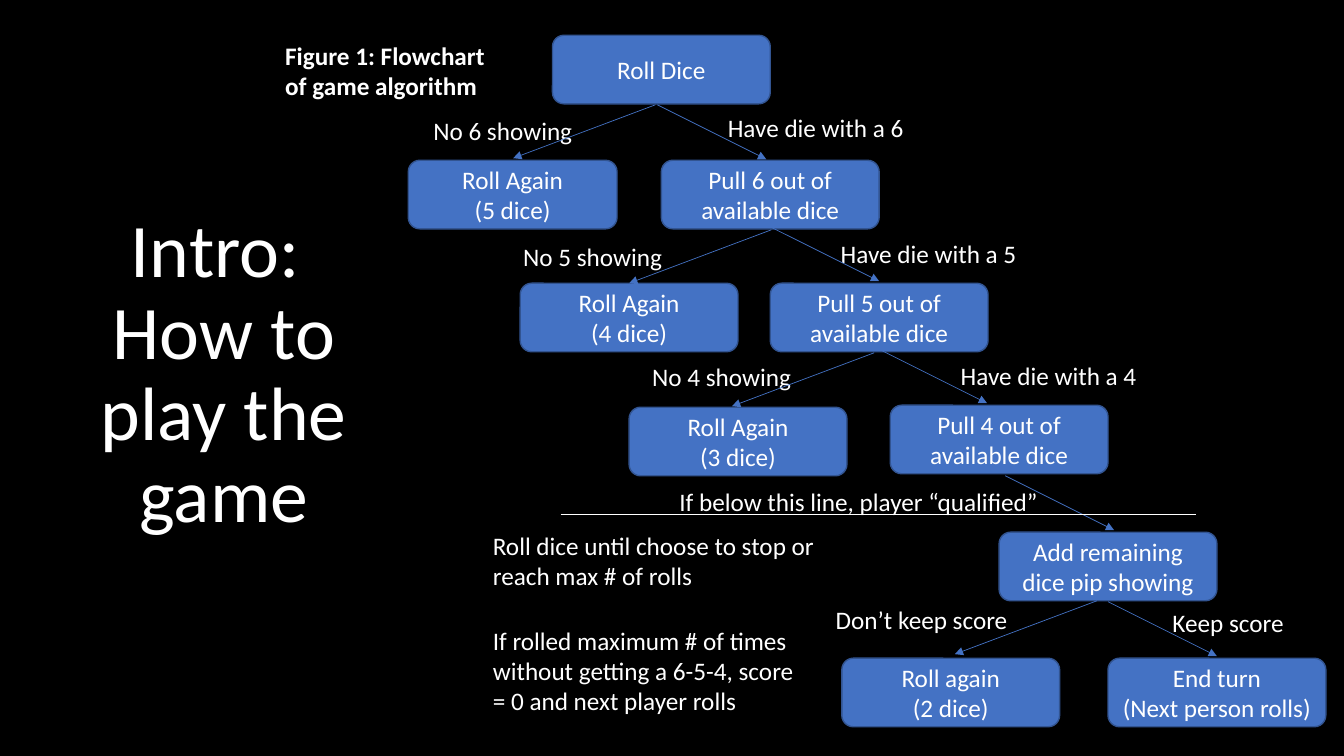
import pptx
import pptx.util
import pptx.dml.color
import pptx.enum.shapes
import pptx.enum.text
import pptx.oxml
import pptx.oxml.ns

COLORS = {"background": "000000", "box": "4472C4", "outline": "325491", "text": "FFFFFF"}
EMU_PER_PX = 9144
BOX_WIDTH, BOX_HEIGHT = 216, 68


def px(length):
    return pptx.util.Emu(length * EMU_PER_PX)


def color(name):
    return pptx.dml.color.RGBColor.from_string(COLORS[name])


class Flowchart:
    font = "Calibri"
    size = 18

    def __init__(self, deck):
        self.slide = deck.slides.add_slide(deck.slide_layouts[6])
        fill = self.slide.background.fill
        fill.solid()
        fill.fore_color.rgb = color("background")

    def set_text(self, frame, text, size, align, bold=False, spacing=None):
        frame.word_wrap = True
        frame.text = text
        for paragraph in frame.paragraphs:
            paragraph.alignment = align
            paragraph.line_spacing = spacing
            for run in paragraph.runs:
                run.font.name = self.font
                run.font.size = pptx.util.Pt(size)
                run.font.bold = bold
                run.font.color.rgb = color("text")

    def title(self, text, left, top, width, height):
        frame = self.slide.shapes.add_textbox(px(left), px(top), px(width), px(height)).text_frame
        self.set_text(frame, text, 54, pptx.enum.text.PP_ALIGN.CENTER, spacing=0.9)
        frame.vertical_anchor = pptx.enum.text.MSO_ANCHOR.MIDDLE

    def label(self, text, left, top, width, height=40, bold=False):
        frame = self.slide.shapes.add_textbox(px(left), px(top), px(width), px(height)).text_frame
        self.set_text(frame, text, self.size, pptx.enum.text.PP_ALIGN.LEFT, bold)
        frame.auto_size = pptx.enum.text.MSO_AUTO_SIZE.SHAPE_TO_FIT_TEXT

    def step(self, text, left, top, width=BOX_WIDTH):
        box = self.slide.shapes.add_shape(
            pptx.enum.shapes.MSO_SHAPE.ROUNDED_RECTANGLE,
            px(left), px(top), px(width), px(BOX_HEIGHT))
        box.shadow.inherit = False
        box.fill.solid()
        box.fill.fore_color.rgb = color("box")
        box.line.color.rgb = color("outline")
        box.line.width = pptx.util.Pt(1)
        box.text_frame.vertical_anchor = pptx.enum.text.MSO_ANCHOR.MIDDLE
        self.set_text(box.text_frame, text, self.size, pptx.enum.text.PP_ALIGN.CENTER)

    def line(self, start, end, stroke):
        connector = self.slide.shapes.add_connector(
            pptx.enum.shapes.MSO_CONNECTOR.STRAIGHT, *map(px, start + end))
        connector.line.color.rgb = color(stroke)
        connector.line.width = pptx.util.Pt(0.5)
        properties = connector._element.spPr
        properties.append(pptx.oxml.parse_xml(
            f"<a:effectLst {pptx.oxml.ns.nsdecls('a')}/>"))
        return connector

    def arrow(self, start, end):
        connector = self.line(start, end, "box")
        outline = connector._element.spPr.find(pptx.oxml.ns.qn("a:ln"))
        outline.append(pptx.oxml.parse_xml(
            f"<a:tailEnd {pptx.oxml.ns.nsdecls('a')} type='triangle'/>"))


def main():
    deck = pptx.Presentation()
    deck.slide_width, deck.slide_height = px(1333), px(750)
    chart = Flowchart(deck)

    chart.title("Intro: \vHow to play the game", 31, 166, 382, 413)
    chart.label("Figure 1: Flowchart of game algorithm", 273, 35, 227, 71, bold=True)

    chart.step("Roll Dice", 548, 35)
    rounds = [
        (6, (656, 159), (405, 159, 207), (712, 107, 228), (420, 109, 176)),
        (5, (764, 281), (516, 281), (824, 232, 199), (509, 234, 191)),
        (4, (883, 402), (624, 404), (943, 353, 199), (637, 354, 171)),
    ]
    for face, pull, again, have, missing in rounds:
        chart.step(f"Pull {face} out of available dice", *pull)
        chart.step(f"Roll Again\n({face - 1} dice)", *again)
        chart.label(f"Have die with a {face}", *have)
        chart.label(f"No {face} showing", *missing)

    chart.step("Add remaining dice pip showing", 991, 528)
    chart.step("Roll again\n(2 dice)", 835, 653)
    chart.step("End turn\n(Next person rolls)", 1099, 653)
    chart.label("Keep score", 1153, 598, 135)
    chart.label("Don’t keep score", 819, 595, 232)

    for left, top in [(652, 104), (764, 225), (871, 346), (997, 472), (1099, 597)]:
        chart.arrow((left, top), (left + 108, top + 54))
    for right, top in [(650, 104), (765, 228), (867, 350), (1088, 596)]:
        chart.arrow((right, top), (right - 141, top + 53))

    chart.label("If below this line, player “qualified”", 664, 478, 396)
    chart.line((556, 510), (1186, 510), "text")
    chart.label("Roll dice until choose to stop or reach max # of rolls", 479, 521, 384, 71)
    chart.label("If rolled maximum # of times without getting a 6-5-4, score = 0 and next player rolls",
                479, 615, 336, 101)

    deck.save("out.pptx")


if __name__ == "__main__":
    main()
